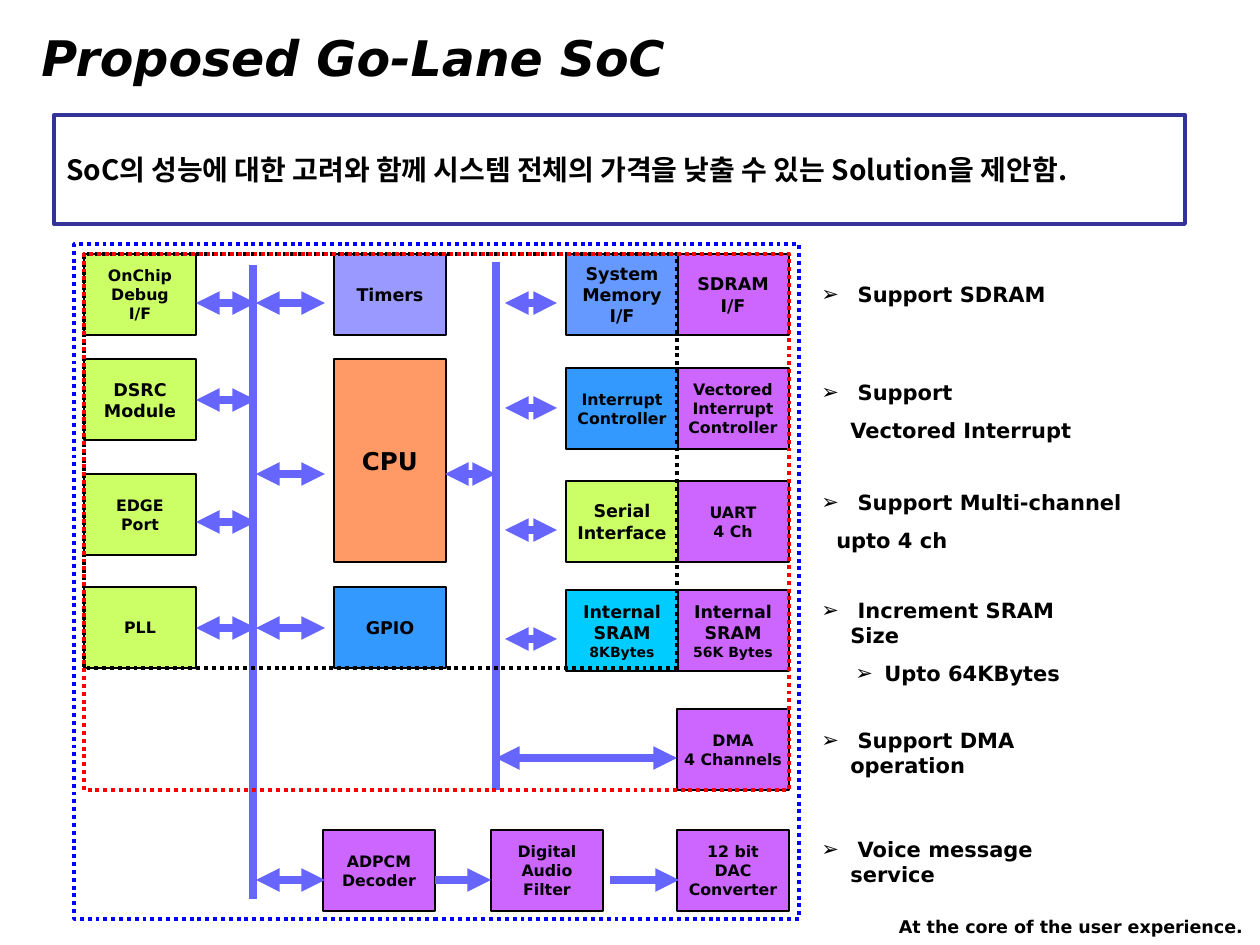
from lxml import etree
from pptx import Presentation
from pptx.dml.color import RGBColor
from pptx.enum.dml import MSO_LINE
from pptx.enum.shapes import MSO_CONNECTOR, MSO_SHAPE
from pptx.enum.text import MSO_ANCHOR, PP_ALIGN
from pptx.oxml.ns import qn
from pptx.util import Pt

PX = 914400 / 126  # EMU per pixel
RECTANGLE, STRAIGHT = MSO_SHAPE.RECTANGLE, MSO_CONNECTOR.STRAIGHT
DOTTED, MIDDLE = MSO_LINE.ROUND_DOT, MSO_ANCHOR.MIDDLE
LEFT, CENTER, RIGHT = PP_ALIGN.LEFT, PP_ALIGN.CENTER, PP_ALIGN.RIGHT
SANS, KOREAN = "DejaVu Sans", "Noto Sans CJK KR"
COLORS = {
    "black": "000000", "red": "FF0000", "blue": "0000FF", "navy": "333399",
    "bus": "6666FF", "purple": "CC66FF", "lime": "CCFF66", "sky": "3399FF",
    "steel": "6699FF", "cyan": "00CCFF", "lavender": "9999FF", "orange": "FF9966",
}
BLOCK_WIDTH, BLOCK_HEIGHT = 112, 81
HANG = 29  # bullet to text


def emu(*lengths):
    return [round(length * PX) for length in lengths]


def color(name):
    return RGBColor.from_string(COLORS[name])


class SlideBuilder:
    def __init__(self, slide):
        self.slide = slide

    def style(self, paragraph, size, font=SANS, italic=False, align=LEFT):
        paragraph.alignment = align
        for run in paragraph.runs:
            run.font.name, run.font.size = font, Pt(size)
            run.font.bold, run.font.italic = True, italic
            run.font.color.rgb = color("black")
            if font == KOREAN:
                east_asian = etree.SubElement(run._r.get_or_add_rPr(), qn("a:ea"))
                east_asian.set("typeface", font)

    def text(self, left, top, width, height, content, size, **style):
        shape = self.slide.shapes.add_textbox(*emu(left, top, width, height))
        shape.text_frame.word_wrap = True
        shape.text_frame.text = content
        self.style(shape.text_frame.paragraphs[0], size, **style)

    def rectangle(self, left, top, width, height, line, weight, fill=None):
        shape = self.slide.shapes.add_shape(RECTANGLE, *emu(left, top, width, height))
        shape.shadow.inherit = False
        shape.line.color.rgb = color(line)
        shape.line.width = Pt(weight)
        if fill:
            shape.fill.solid()
            shape.fill.fore_color.rgb = color(fill)
        else:
            shape.fill.background()
        return shape

    def block(self, left, top, label, fill, size=9, last_size=None, height=BLOCK_HEIGHT):
        shape = self.rectangle(left, top, BLOCK_WIDTH, height, "black", 0.75, fill)
        frame = shape.text_frame
        frame.word_wrap = False
        frame.vertical_anchor = MIDDLE
        frame.text = label
        for paragraph in frame.paragraphs:
            self.style(paragraph, size, align=CENTER)
        if last_size:
            self.style(frame.paragraphs[-1], last_size, align=CENTER)

    def banner(self, left, top, width, height, content):
        shape = self.rectangle(left, top, width, height, "navy", 2.25)
        shape.text_frame.word_wrap = True
        shape.text_frame.vertical_anchor = MIDDLE
        shape.text_frame.text = content
        self.style(shape.text_frame.paragraphs[0], 16, font=KOREAN)

    def region(self, left, top, width, height, line):
        shape = self.rectangle(left, top, width, height, line, 2.25)
        shape.line.dash_style = DOTTED

    def line(self, x1, y1, x2, y2, ends=()):
        connector = self.slide.shapes.add_connector(STRAIGHT, *emu(x1, y1, x2, y2))
        connector.line.color.rgb = color("bus")
        connector.line.width = Pt(4.5)
        for end in ends:
            arrow = etree.SubElement(connector.line._get_or_add_ln(), qn(f"a:{end}"))
            arrow.set("type", "triangle")
        etree.SubElement(connector._element.spPr, qn("a:effectLst"))

    def notes(self, top, width, items):
        """Each item is (text, left margin, bulleted)."""
        shape = self.slide.shapes.add_textbox(*emu(809, top, width, 38 * len(items)))
        frame = shape.text_frame
        frame.word_wrap = True
        for index, (content, margin, bulleted) in enumerate(items):
            paragraph = frame.add_paragraph() if index else frame.paragraphs[0]
            paragraph.text = content
            if index:
                paragraph.space_before = Pt(7.5)
            properties = paragraph._p.get_or_add_pPr()
            properties.set("marL", str(emu(margin)[0]))
            properties.set("indent", str(emu(-HANG if bulleted else 0)[0]))
            if bulleted:
                etree.SubElement(properties, qn("a:buFont")).set("typeface", SANS)
                etree.SubElement(properties, qn("a:buChar")).set("char", "➢")
            else:
                etree.SubElement(properties, qn("a:buNone"))
            self.style(paragraph, 12)


BOTH, FORWARD = ("headEnd", "tailEnd"), ("tailEnd",)
DEBUG_X, CORE_X, MEMORY_X, NEW_X = 84, 334, 566, 677
LEFT_BUS, RIGHT_BUS = 253, 496
TOP, AUDIO_Y = 254, 830

BLOCKS = [
    # Added peripherals
    (NEW_X, TOP, "SDRAM\nI/F", "purple", 10),
    (NEW_X, 368, "Vectored\nInterrupt\nController", "purple"),
    (NEW_X, 481, "UART\n4 Ch", "purple"),
    (NEW_X, 590, "Internal\nSRAM\n56K Bytes", "purple", 10, 8),
    (NEW_X, 709, "DMA\n4 Channels", "purple"),
    # Audio chain
    (323, AUDIO_Y, "ADPCM\nDecoder", "purple"),
    (491, AUDIO_Y, "Digital\nAudio\nFilter", "purple"),
    (NEW_X, AUDIO_Y, "12 bit\nDAC\nConverter", "purple"),
    # Base chip
    (DEBUG_X, TOP, "OnChip\nDebug\nI/F", "lime"),
    (DEBUG_X, 359, "DSRC\nModule", "lime", 10),
    (DEBUG_X, 474, "EDGE\nPort", "lime"),
    (DEBUG_X, 587, "PLL", "lime"),
    (CORE_X, TOP, "Timers", "lavender", 10),
    (CORE_X, 359, "CPU", "orange", 14, None, 203),
    (CORE_X, 587, "GPIO", "sky", 10),
    (MEMORY_X, TOP, "System\nMemory\nI/F", "steel", 10),
    (MEMORY_X, 368, "Interrupt\nController", "sky"),
    (MEMORY_X, 481, "Serial\nInterface", "lime", 10),
    (MEMORY_X, 590, "Internal\nSRAM\n8KBytes", "cyan", 10, 8),
]
# (from x, to x, heights)
BUS_ARROWS = [
    (196, 256, (303, 400, 522, 628)),
    (256, 325, (303, 474, 628, 880)),
    (445, RIGHT_BUS, (474,)),
    (505, 557, (303, 408, 530, 639)),
    (RIGHT_BUS, NEW_X, (758,)),
]
NOTES = [
    (275, 307, [(" Support SDRAM", HANG, True)]),
    (373, 307, [(" Support", HANG, True), ("Vectored Interrupt", HANG, False)]),
    (483, 328, [(" Support Multi-channel", HANG, True), ("upto 4 ch", 15, False)]),
    (591, 307, [(" Increment SRAM Size", HANG, True), ("Upto 64KBytes", 63, True)]),
    (721, 328, [(" Support DMA operation", HANG, True)]),
    (830, 328, [(" Voice message service", HANG, True)]),
]


def main():
    presentation = Presentation()
    presentation.slide_width, presentation.slide_height = emu(1260, 945)
    builder = SlideBuilder(presentation.slides.add_slide(presentation.slide_layouts[6]))

    # Title, banner and footer
    builder.text(29, 21, 829, 72, "Proposed Go-Lane SoC", 28, italic=True)
    builder.banner(54, 115, 1131, 109,
                   "SoC의 성능에 대한 고려와 함께 시스템 전체의 가격을 낮출 수 있는 Solution을 제안함.")
    builder.text(660, 910, 595, 34, "At the core of the user experience.", 10, align=RIGHT)

    # Block diagram
    for block in BLOCKS:
        builder.block(*block)

    # Buses, upper and lower parts
    for x, top, middle, bottom in ((LEFT_BUS, 265, 662, 899), (RIGHT_BUS, 262, 660, 790)):
        builder.line(x, top, x, middle)
        builder.line(x, middle, x, bottom)
    for start, end, heights in BUS_ARROWS:
        for y in heights:
            builder.line(start, y, end, y, BOTH)
    for start, end in ((435, 491), (610, 679)):
        builder.line(start, 880, end, 880, FORWARD)

    # Dotted regions: base chip, extended chip, whole SoC
    builder.region(DEBUG_X, TOP, 593, 414, "black")
    builder.region(DEBUG_X, TOP, 705, 536, "red")
    builder.region(74, 244, 725, 675, "blue")

    # Feature notes
    for note in NOTES:
        builder.notes(*note)

    presentation.save("out.pptx")


if __name__ == "__main__":
    main()
